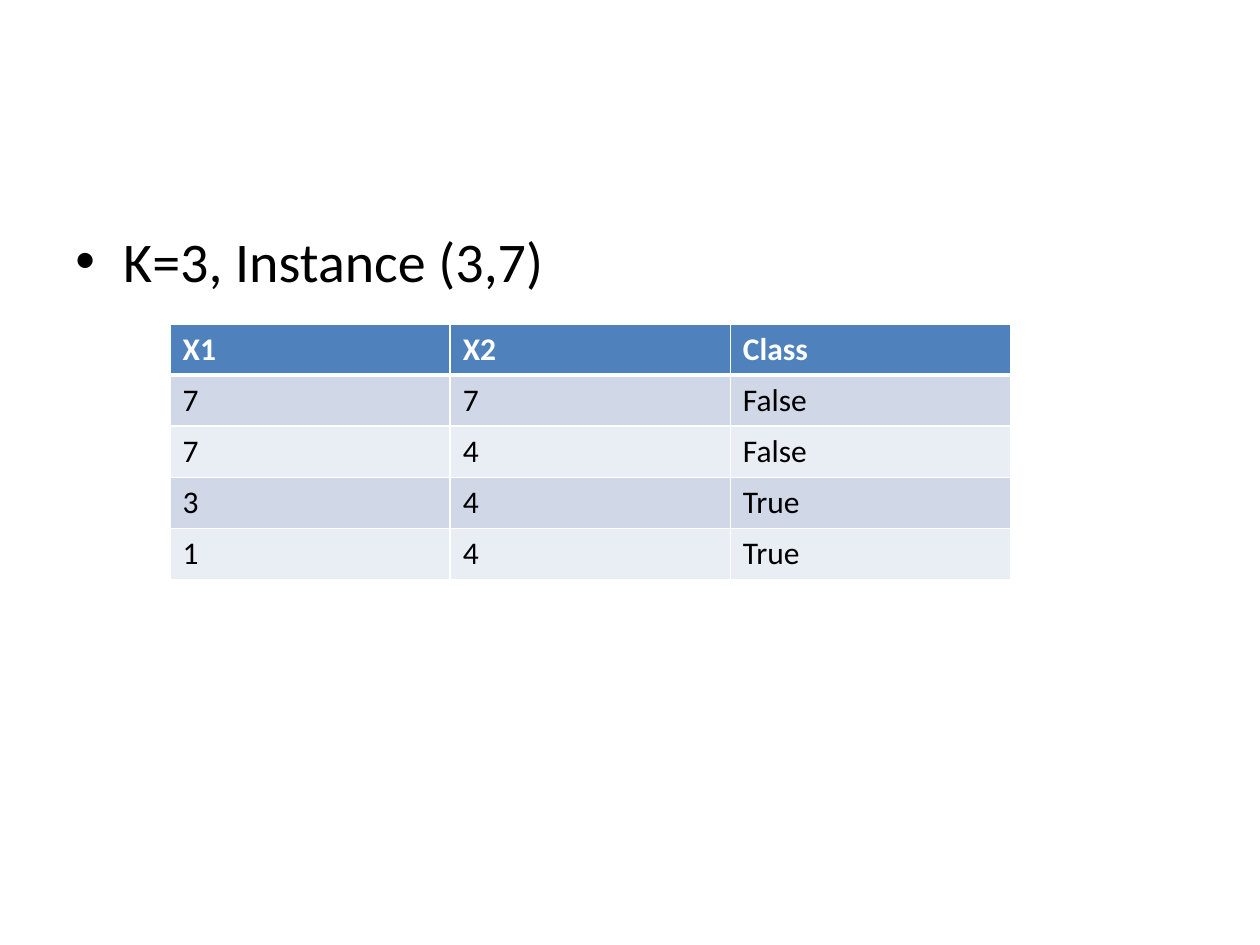
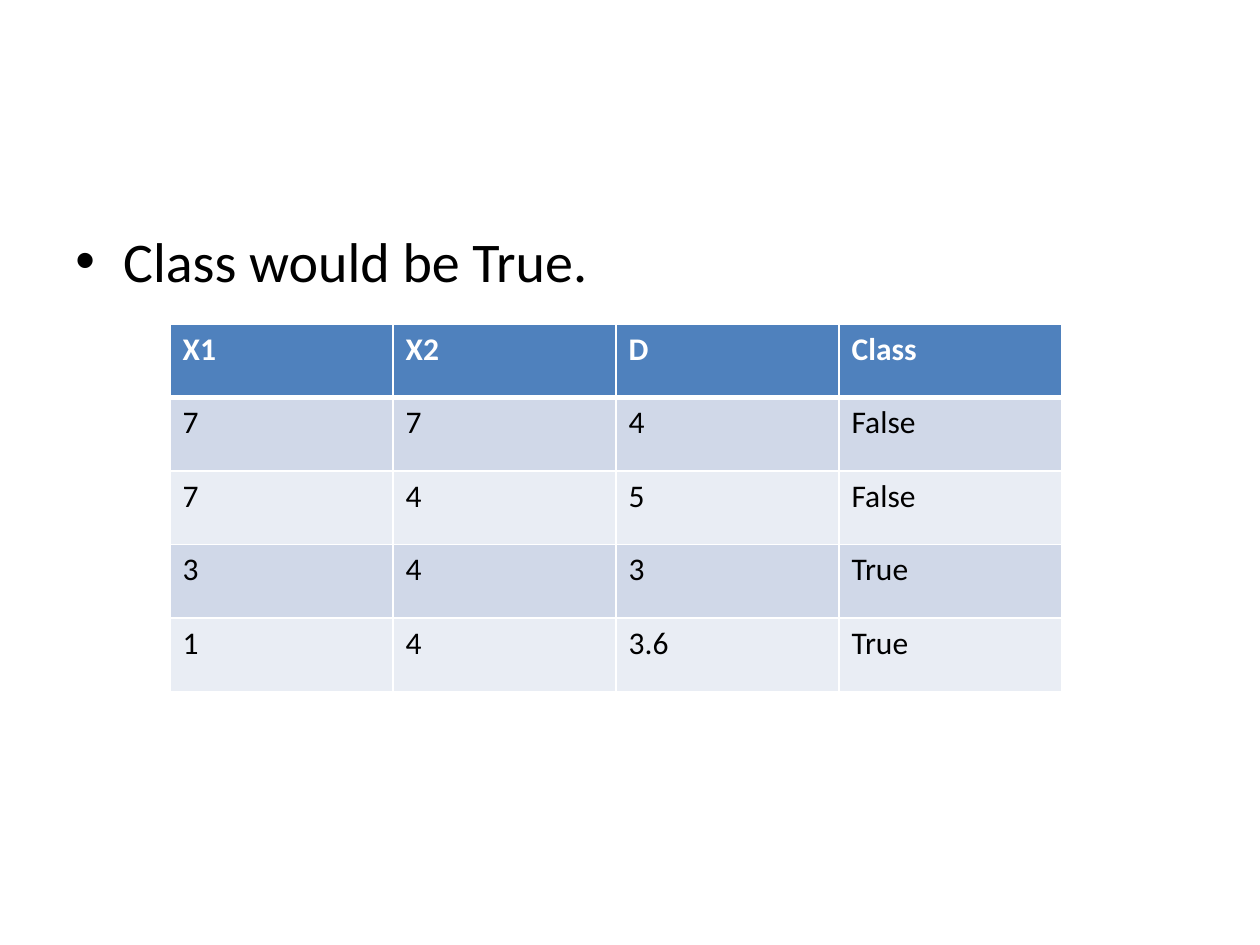
import pptx
import pptx.dml.color
import pptx.oxml
import pptx.oxml.ns
import pptx.util
from pptx.util import Inches

# Content
SLIDES = [
    {
        "bullet": "K=3, Instance (3,7)",
        "table_size": (6.67, 2.03),
        "rows": [
            ("X1", "X2", "Class"),
            ("7", "7", "False"),
            ("7", "4", "False"),
            ("3", "4", "True"),
            ("1", "4", "True"),
        ],
    },
    {
        "bullet": "Class would be True.",
        "table_size": (7.08, 2.92),
        "rows": [
            ("X1", "X2", "D", "Class"),
            ("7", "7", "4", "False"),
            ("7", "4", "5", "False"),
            ("3", "4", "3", "True"),
            ("1", "4", "3.6", "True"),
        ],
    },
]

# Shared style
BLACK, WHITE, HEADER_BLUE = "000000", "FFFFFF", "4F81BD"
BANDS = ("D0D8E8", "E9EDF4")
BODY_BOX = (0.5, 1.75, 9, 4.95)
TABLE_CORNER = (1.35, 2.57)
BULLET_INDENT = Inches(0.38)
BODY_FONT = {"name": "Calibri", "size": pptx.util.Pt(32), "bold": False}
CELL_FONT = {"name": "Calibri", "size": pptx.util.Pt(18), "bold": False}
HEADER_FONT = {**CELL_FONT, "bold": True}
THIN, THICK = 1, 3


def rgb(color):
    return pptx.dml.color.RGBColor.from_string(color)


def add_xml(parent, xml):
    namespace = pptx.oxml.ns.nsdecls("a")
    parent.append(pptx.oxml.parse_xml(xml.replace("NS", namespace, 1)))


def write_text(paragraph, text, font_format, color):
    run = paragraph.add_run()
    run.text = text
    for name, value in font_format.items():
        setattr(run.font, name, value)
    run.font.color.rgb = rgb(color)


def add_bullet(slide, text):
    box = slide.shapes.add_textbox(*map(Inches, BODY_BOX))
    box.text_frame.word_wrap = True
    paragraph = box.text_frame.paragraphs[0]
    properties = paragraph._p.get_or_add_pPr()
    properties.set("marL", str(BULLET_INDENT))
    properties.set("indent", str(-BULLET_INDENT))
    add_xml(properties, '<a:spcBef NS><a:spcPct val="20000"/></a:spcBef>')
    add_xml(properties, '<a:buFont NS typeface="Arial"/>')
    add_xml(properties, '<a:buChar NS char="•"/>')
    write_text(paragraph, text, BODY_FONT, BLACK)


def set_borders(cell, widths):
    properties = cell._tc.get_or_add_tcPr()
    for side, width in widths.items():
        add_xml(properties,
                f'<a:ln{side} NS w="{pptx.util.Pt(width)}"><a:solidFill>'
                f'<a:srgbClr val="{WHITE}"/></a:solidFill></a:ln{side}>')


def add_data_table(slide, rows, size):
    width, height = size
    frame = slide.shapes.add_table(len(rows), len(rows[0]),
                                   *map(Inches, TABLE_CORNER + size))
    table = frame.table
    for column in table.columns:
        column.width = Inches(width / len(rows[0]))
    for row in table.rows:
        row.height = Inches(height / len(rows))

    for row_index, values in enumerate(rows):
        is_header = row_index == 0
        fill = HEADER_BLUE if is_header else BANDS[(row_index - 1) % 2]
        font_format = HEADER_FONT if is_header else CELL_FONT
        # The thick rule lies between the header and the first data row
        borders = {"L": THIN, "R": THIN,
                   "T": THICK if row_index == 1 else THIN,
                   "B": THICK if is_header else THIN}
        for column_index, text in enumerate(values):
            cell = table.cell(row_index, column_index)
            set_borders(cell, borders)
            cell.fill.solid()
            cell.fill.fore_color.rgb = rgb(fill)
            write_text(cell.text_frame.paragraphs[0], text, font_format,
                       WHITE if is_header else BLACK)


def main():
    presentation = pptx.Presentation()
    presentation.slide_width = Inches(10)
    presentation.slide_height = Inches(7.5)
    blank_layout = presentation.slide_layouts[6]
    for content in SLIDES:
        slide = presentation.slides.add_slide(blank_layout)
        add_bullet(slide, content["bullet"])
        add_data_table(slide, content["rows"], content["table_size"])
    presentation.save("out.pptx")


if __name__ == "__main__":
    main()
